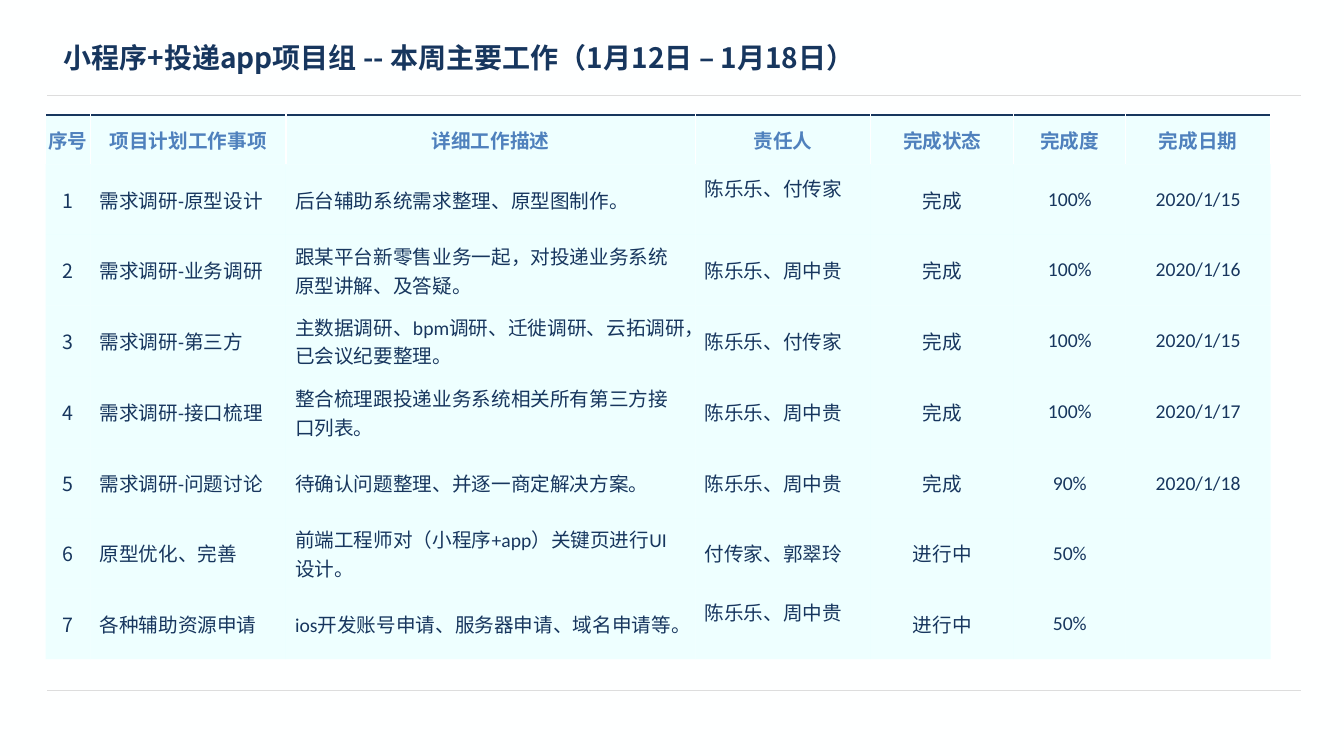
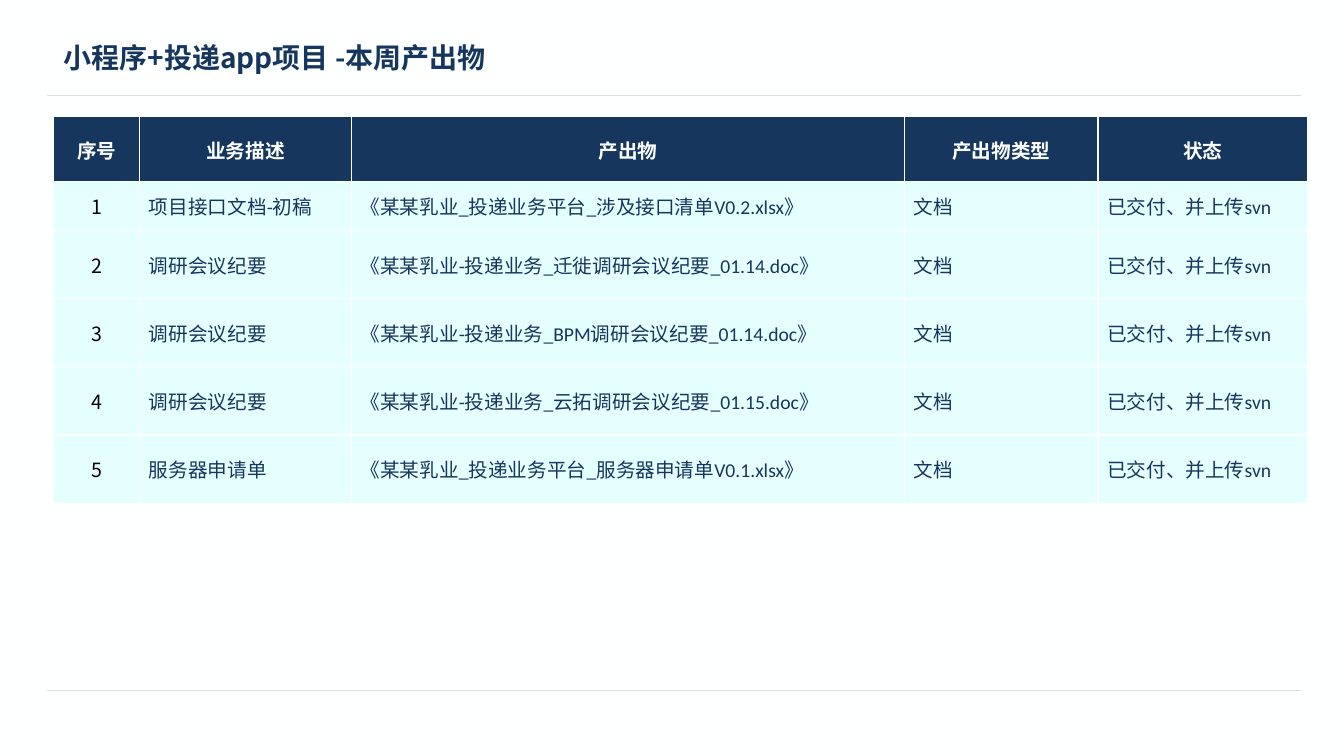
import pptx
import pptx.dml.color
import pptx.enum.shapes
import pptx.enum.text
import pptx.oxml.ns
import pptx.util
from lxml import etree

Pt = pptx.util.Pt
qn = pptx.oxml.ns.qn
CENTER = pptx.enum.text.PP_ALIGN.CENTER
LEFT = pptx.enum.text.PP_ALIGN.LEFT
MIDDLE = pptx.enum.text.MSO_ANCHOR.MIDDLE

NAVY, BLUE, AQUA, GRAY = "17365E", "4F81BD", "E5FFFF", "DDDDDD"
PAPER, WHITE, BLACK = "FEFFFF", "FFFFFF", "000000"
HEADING_FONT, BODY_FONT = "Noto Sans CJK SC", "Calibri"
PLAIN_TABLE_STYLE = "{2D5ABB26-0587-4C30-8999-92F81FD0307C}"
HEADER_MARGINS = (0.7, 0.7, 0.7, 0)
BODY_MARGINS = (6.5, 3, 6.5, 3)
RAISED_MARGINS = (6.5, 3, 6.5, 20)

WORK_ROWS = [
    ("序号", "项目计划工作事项", "详细工作描述", "责任人", "完成状态", "完成度", "完成日期"),
    ("1", "需求调研-原型设计", "后台辅助系统需求整理、原型图制作。",
     "陈乐乐、付传家", "完成", "100%", "2020/1/15"),
    ("2", "需求调研-业务调研", "跟某平台新零售业务一起，对投递业务系统原型讲解、及答疑。",
     "陈乐乐、周中贵", "完成", "100%", "2020/1/16"),
    ("3", "需求调研-第三方", "主数据调研、bpm调研、迁徙调研、云拓调研，已会议纪要整理。",
     "陈乐乐、付传家", "完成", "100%", "2020/1/15"),
    ("4", "需求调研-接口梳理", "整合梳理跟投递业务系统相关所有第三方接口列表。",
     "陈乐乐、周中贵", "完成", "100%", "2020/1/17"),
    ("5", "需求调研-问题讨论", "待确认问题整理、并逐一商定解决方案。",
     "陈乐乐、周中贵", "完成", "90%", "2020/1/18"),
    ("6", "原型优化、完善", "前端工程师对（小程序+app）关键页进行UI设计。",
     "付传家、郭翠玲", "进行中", "50%", ""),
    ("7", "各种辅助资源申请", "ios开发账号申请、服务器申请、域名申请等。",
     "陈乐乐、周中贵", "进行中", "50%", ""),
]
DELIVERABLES = [
    ("项目接口文档-初稿", "《某某乳业_投递业务平台_涉及接口清单V0.2.xlsx》"),
    ("调研会议纪要", "《某某乳业-投递业务_迁徙调研会议纪要_01.14.doc》"),
    ("调研会议纪要", "《某某乳业-投递业务_BPM调研会议纪要_01.14.doc》"),
    ("调研会议纪要", "《某某乳业-投递业务_云拓调研会议纪要_01.15.doc》"),
    ("服务器申请单", "《某某乳业_投递业务平台_服务器申请单V0.1.xlsx》"),
]


def color(value):
    """Turn a hex string into a colour."""
    return pptx.dml.color.RGBColor.from_string(value)


def write_text(text_frame, text, size, font_name, font_color, bold=False, align=LEFT):
    """Put one formatted paragraph into a text frame."""
    text_frame.text = text
    paragraph = text_frame.paragraphs[0]
    paragraph.alignment = align
    for run in paragraph.runs:
        run.font.size = Pt(size)
        run.font.name = font_name
        run.font.bold = bold
        run.font.color.rgb = color(font_color)
        east_asian = etree.SubElement(run.font._element, qn("a:ea"))
        east_asian.set("typeface", HEADING_FONT)


def add_rule(slide, left, top, width):
    """Draw a thin grey horizontal line."""
    rule = slide.shapes.add_connector(
        pptx.enum.shapes.MSO_CONNECTOR.STRAIGHT, Pt(left), Pt(top), Pt(left + width), Pt(top))
    rule.line.color.rgb = color(GRAY)
    rule.line.width = Pt(1)
    etree.SubElement(rule._element.spPr, qn("a:effectLst"))


def add_frame(presentation, title):
    """Add a slide with its two rules and its title."""
    slide = presentation.slides.add_slide(presentation.slide_layouts[6])
    for top in (68.4, 493.2):
        add_rule(slide, 33.8, top, 895.7)
    title_box = slide.shapes.add_textbox(Pt(38.2), Pt(15.1), Pt(884), Pt(51))
    title_box.text_frame.word_wrap = True
    title_box.text_frame.vertical_anchor = MIDDLE
    write_text(title_box.text_frame, title, 20, HEADING_FONT, NAVY, True)
    return slide


def set_borders(cell, borders):
    """Give a cell 1 pt borders by side, in the order L, R, T, B."""
    properties = cell._tc.get_or_add_tcPr()
    for side, border_color in borders.items():
        line = etree.SubElement(properties, qn("a:ln" + side), w=str(Pt(1)))
        fill = etree.SubElement(line, qn("a:solidFill"))
        etree.SubElement(fill, qn("a:srgbClr"), val=border_color)


def style_cell(cell, fill_color, margins, borders, opacity):
    """Set the fill, margins, borders and opacity of a cell."""
    set_borders(cell, borders)
    cell.fill.solid()
    cell.fill.fore_color.rgb = color(fill_color)
    if opacity < 100:
        swatch = cell._tc.tcPr.find(qn("a:solidFill")).find(qn("a:srgbClr"))
        etree.SubElement(swatch, qn("a:alpha"), val=str(opacity * 1000))
    cell.vertical_anchor = MIDDLE
    cell.margin_left, cell.margin_top, cell.margin_right, cell.margin_bottom = map(Pt, margins)


def add_grid(slide, left, top, widths, heights, rows, centered, header_fill, header_color,
             index_color, header_borders, body_borders, opacity=100, raised=()):
    """Add a table with a header row, a number column and body text."""
    frame = slide.shapes.add_table(
        len(rows), len(widths), Pt(left), Pt(top), Pt(sum(widths)), Pt(sum(heights)))
    table = frame.table
    table.first_row = table.horz_banding = False
    table._tbl.tblPr.find(qn("a:tableStyleId")).text = PLAIN_TABLE_STYLE
    for column, width in zip(table.columns, widths):
        column.width = Pt(width)
    for row, height in zip(table.rows, heights):
        row.height = Pt(height)
    for row_index, texts in enumerate(rows):
        for column_index, text in enumerate(texts):
            cell = table.cell(row_index, column_index)
            if row_index == 0:
                style_cell(cell, header_fill, HEADER_MARGINS, header_borders, opacity)
                write_text(cell.text_frame, text, 14, HEADING_FONT, header_color, True, CENTER)
                continue
            margins = RAISED_MARGINS if (row_index, column_index) in raised else BODY_MARGINS
            style_cell(cell, AQUA, margins, body_borders, opacity)
            is_index = column_index == 0
            write_text(cell.text_frame, text, 14,
                       HEADING_FONT if is_index else BODY_FONT,
                       index_color if is_index else NAVY,
                       align=CENTER if column_index in centered else LEFT)


def build_weekly_work(presentation):
    """Build the slide that lists the work of the week."""
    slide = add_frame(presentation, "小程序+投递app项目组 -- 本周主要工作（1月12日 – 1月18日）")
    add_grid(slide, 32.6, 82.1,
             [32, 139.7, 292.5, 125.3, 102.2, 79.9, 103.5],
             [35.3, 50.4, 50.4, 50.4, 51.8, 49.7, 50.4, 50.4],
             WORK_ROWS, {0, 4, 5, 6}, AQUA, BLUE, NAVY,
             {"L": WHITE, "R": WHITE, "T": NAVY}, {}, 63, {(1, 3), (7, 3)})


def build_deliverables(presentation):
    """Build the slide that lists the deliverables of the week."""
    slide = add_frame(presentation, "小程序+投递app项目 -本周产出物")
    rows = [("序号", "业务描述", "产出物", "产出物类型", "状态")]
    for number, (subject, document) in enumerate(DELIVERABLES, 1):
        rows.append((str(number), subject, document, "文档", "已交付、并上传svn"))
    borders = dict.fromkeys("LRTB", WHITE)
    add_grid(slide, 38.4, 83.2, [61.5, 151.2, 395.3, 138, 149.5],
             [46.5, 35] + [48.7] * 4, rows, {0}, NAVY, PAPER, BLACK, borders, borders)


def main():
    """Build and save the presentation."""
    presentation = pptx.Presentation()
    presentation.slide_width, presentation.slide_height = Pt(960), Pt(540)
    background = presentation.slide_master.background.fill
    background.solid()
    background.fore_color.rgb = color(PAPER)
    build_weekly_work(presentation)
    build_deliverables(presentation)
    presentation.save("out.pptx")


if __name__ == "__main__":
    main()
